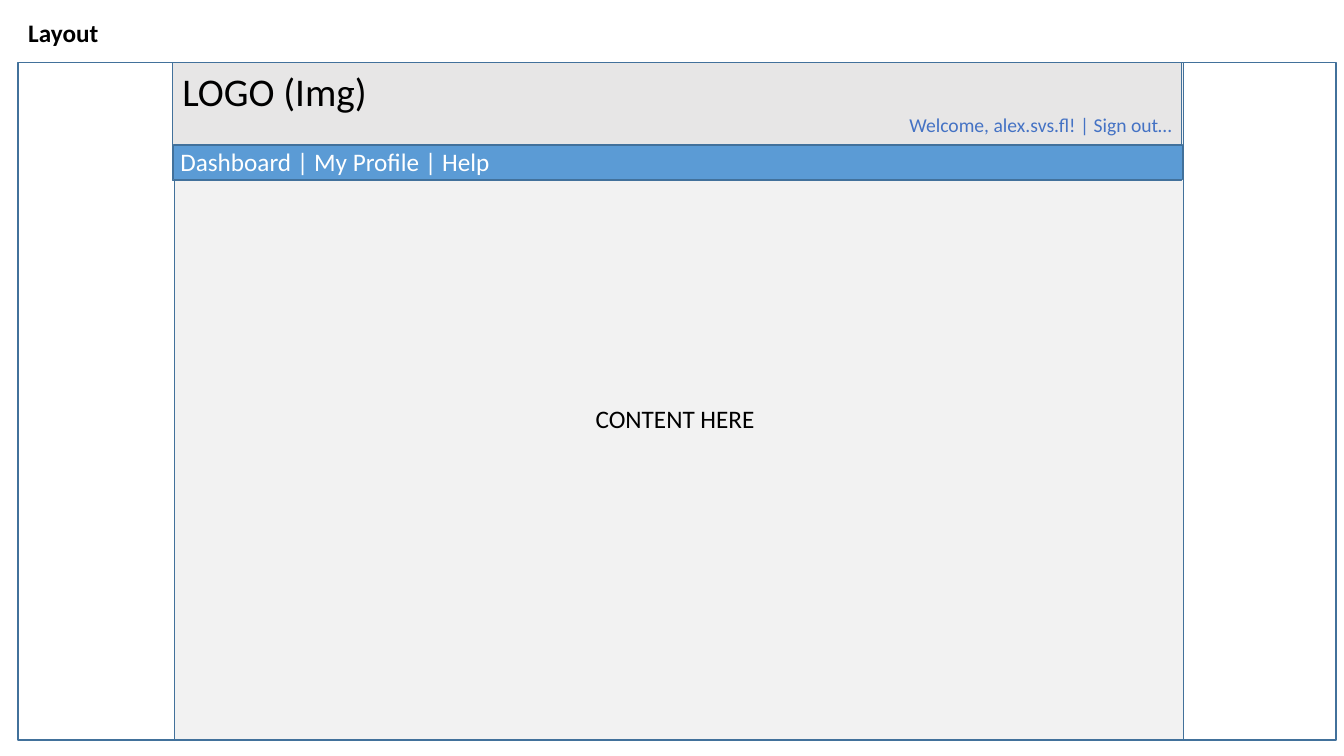
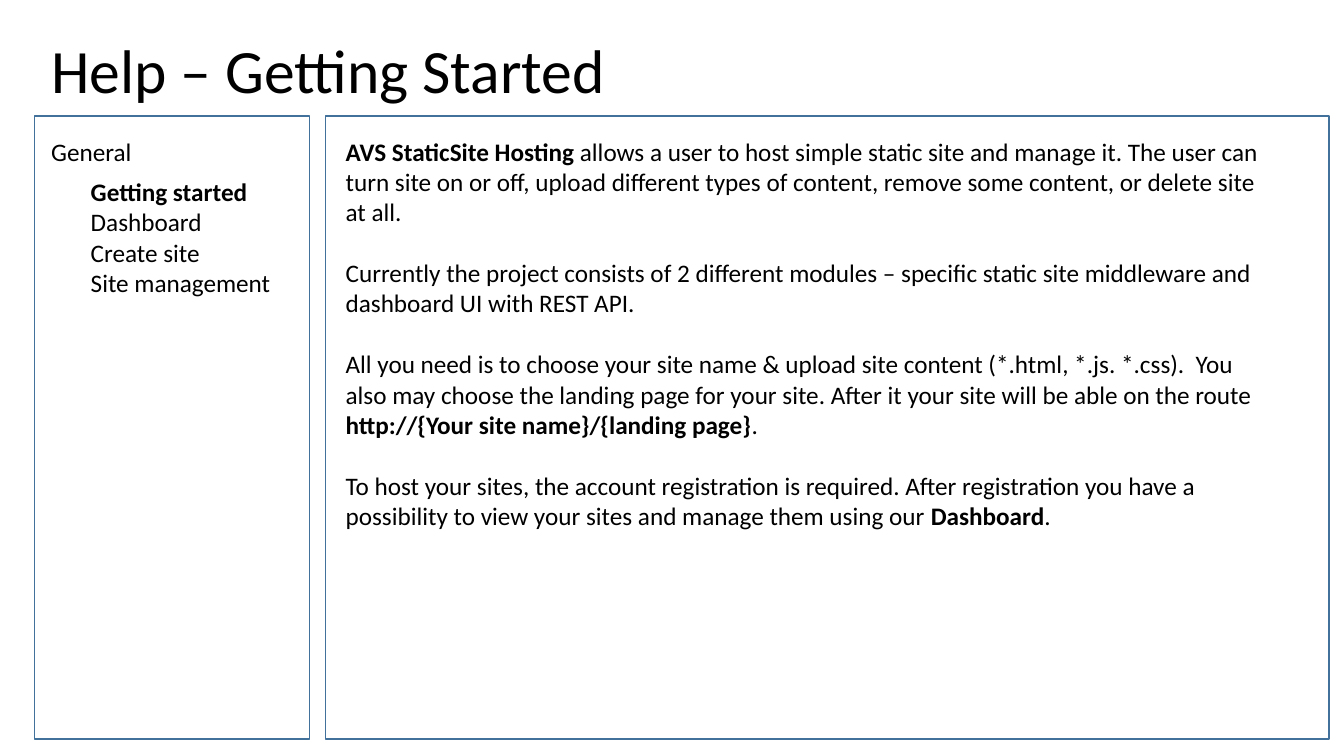
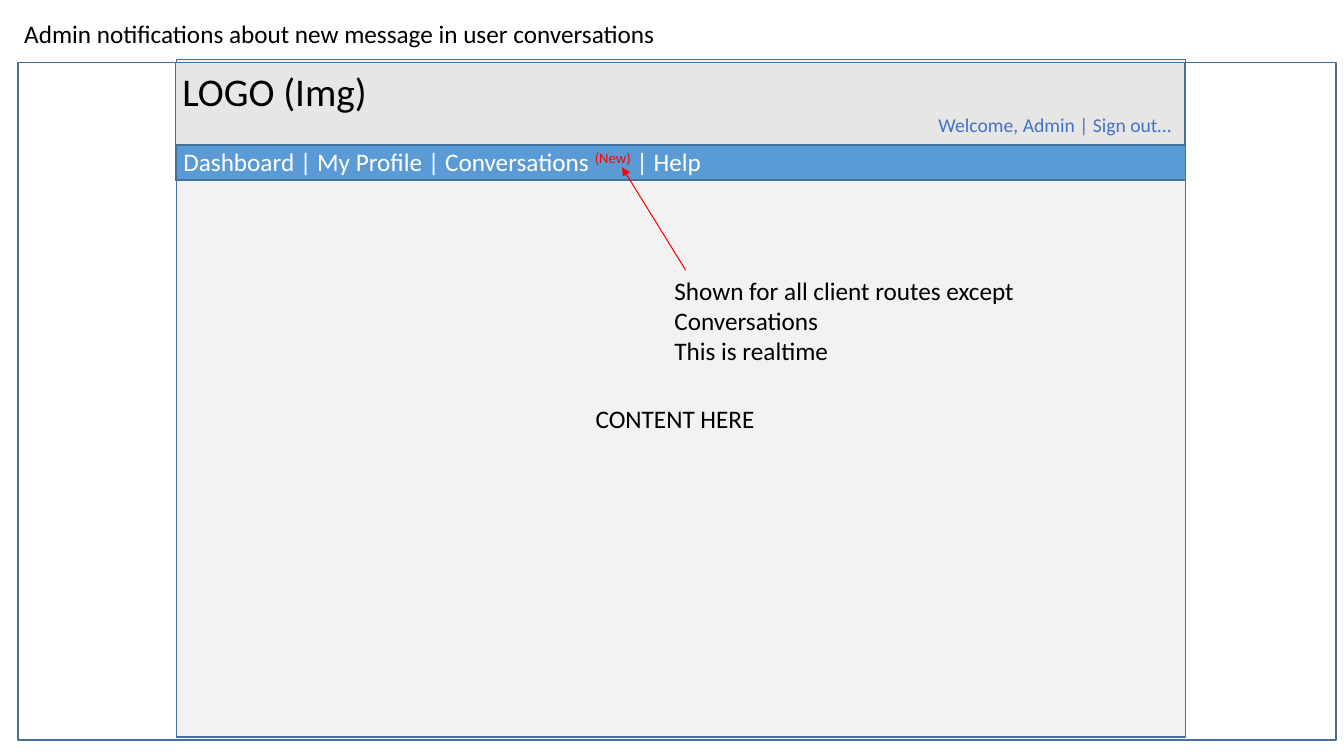
import dataclasses

import pptx
import pptx.dml.color
import pptx.enum.shapes
import pptx.enum.text
import pptx.oxml
import pptx.oxml.ns
import pptx.util
from lxml import etree

Inches = pptx.util.Inches
Pt = pptx.util.Pt
Align = pptx.enum.text.PP_ALIGN
Anchor = pptx.enum.text.MSO_ANCHOR


@dataclasses.dataclass(frozen=True)
class Theme:
    font: str = "Calibri"
    black: str = "000000"
    white: str = "FFFFFF"
    outline: str = "42719B"
    page: str = "F2F2F2"
    header: str = "E7E6E6"
    menu: str = "5B9BD5"
    link: str = "4472C4"
    alert: str = "FF0000"
    title_size: int = 44
    logo_size: int = 28
    body_size: int = 18
    link_size: int = 14
    line_gap: int = 22


def rgb(value):
    return pptx.dml.color.RGBColor.from_string(value)


class Wireframe:
    """Holds the theme, the deck and the current slide."""

    def __init__(self, theme):
        self.theme = theme
        self.deck = pptx.Presentation()
        self.deck.slide_width = Inches(13.33)
        self.deck.slide_height = Inches(7.5)
        self.slide = None

    def new_slide(self, layout="Title Only"):
        self.slide = self.deck.slides.add_slide(
            self.deck.slide_layouts.get_by_name(layout))

    def place(self, box, at):
        for name, value in zip(("left", "top", "width", "height"), at):
            setattr(box, name, Inches(value))

    def set_text(self, box, paras, size=None, color=None, bold=False,
                 align=Align.LEFT, anchor=Anchor.TOP, spacing=1.0, gaps=None):
        """Each para is a string or a list of (text, format values) spans."""
        frame = box.text_frame
        settings = {"word_wrap": True, "vertical_anchor": anchor,
                    "auto_size": pptx.enum.text.MSO_AUTO_SIZE.NONE,
                    "margin_left": Inches(0.1), "margin_right": Inches(0.1),
                    "margin_top": Inches(0.05), "margin_bottom": Inches(0.05)}
        for name, value in settings.items():
            setattr(frame, name, value)
        for index, content in enumerate(paras):
            para = frame.paragraphs[0] if index == 0 else frame.add_paragraph()
            layout = {"alignment": align, "line_spacing": spacing,
                      "space_before": Pt(gaps[index] if gaps else 0)}
            for name, value in layout.items():
                setattr(para, name, value)
            if box.is_placeholder:
                self.remove_bullet(para)
            spans = [(content, {})] if isinstance(content, str) else content
            for text, changes in spans:
                self.add_span(para, text, {
                    "size": size or self.theme.body_size,
                    "color": color or self.theme.black,
                    "bold": bold, **changes})

    def remove_bullet(self, para):
        properties = para._p.get_or_add_pPr()
        properties.set("marL", "0")
        properties.set("indent", "0")
        etree.SubElement(properties, pptx.oxml.ns.qn("a:buNone"))

    def add_span(self, para, text, style):
        span = para.add_run()
        span.text = text
        values = {"name": self.theme.font, "size": Pt(style["size"]),
                  "bold": style["bold"]}
        for name, value in values.items():
            setattr(span.font, name, value)
        span.font.color.rgb = rgb(style["color"])
        if "raised" in style:
            span._r.get_or_add_rPr().set("baseline", str(style["raised"] * 1000))

    def title(self, text, at, **style):
        box = self.slide.shapes.title
        self.place(box, at)
        self.set_text(box, [text], **style)

    def body(self, paras, at, **style):
        box = self.slide.placeholders[1]
        self.place(box, at)
        self.set_text(box, paras, **style)

    def text(self, paras, at, **style):
        box = self.slide.shapes.add_textbox(*map(Inches, at))
        self.set_text(box, paras, **style)

    def panel(self, at, fill=None):
        box = self.slide.shapes.add_shape(
            pptx.enum.shapes.MSO_SHAPE.RECTANGLE, *map(Inches, at))
        box.shadow.inherit = False
        if fill:
            box.fill.solid()
            box.fill.fore_color.rgb = rgb(fill)
        else:
            box.fill.background()
        box.line.color.rgb = rgb(self.theme.outline)
        box.line.width = Pt(1)

    def arrow(self, start, end):
        arrow = self.slide.shapes.add_connector(
            pptx.enum.shapes.MSO_CONNECTOR.STRAIGHT, *map(Inches, start + end))
        arrow.line.color.rgb = rgb(self.theme.alert)
        arrow.line.width = Pt(0.75)
        qn = pptx.oxml.ns.qn
        properties = arrow._element.spPr
        etree.SubElement(properties.find(qn("a:ln")), qn("a:tailEnd"), type="triangle")
        etree.SubElement(properties, qn("a:effectLst"))

    def site_page(self, page_at, header_left, menu_left, menu, welcome, welcome_at):
        """Browser window with header, menu bar and content area."""
        theme = self.theme
        width = 10.01
        self.panel((0.18, 0.62, 13.07, 6.72))
        self.panel((*page_at, width, 6.72), theme.page)
        self.panel((header_left, 0.62, width, 1.17), theme.header)
        self.text(["LOGO (Img)"], (1.71, 0.62, 3.05, 0.57), size=theme.logo_size)
        self.panel((menu_left, 1.44, width, 0.34), theme.menu)
        self.text([menu], (menu_left - 0.03, 1.4, 7.19, 0.4), color=theme.white)
        self.text([welcome], welcome_at, size=theme.link_size, color=theme.link)
        self.text(["CONTENT HERE"], (1.69, 3.95, width, 0.4), align=Align.CENTER)


def main():
    theme = Theme()
    frame = Wireframe(theme)
    strong = {"bold": True}

    # Site layout
    frame.new_slide()
    frame.title("Layout", (0.18, 0.12, 5.72, 0.4), bold=True)
    frame.site_page((1.73, 0.62), 1.71, 1.72, "Dashboard | My Profile | Help",
                    "Welcome, alex.svs.fl! | Sign out…", (8.92, 1.07, 4.07, 0.34))

    # Help page: topic list and article
    frame.new_slide("Title and Content")
    frame.title("Help – Getting Started", (0.41, 0, 11.5, 1.45),
                size=theme.title_size, anchor=Anchor.MIDDLE, spacing=0.9)
    frame.panel((0.34, 1.15, 2.73, 6.18))
    frame.text(["General"], (0.41, 1.3, 2.53, 0.4))
    frame.body([[("Getting started", strong)], "Dashboard", "Create site",
                "Site management"], (0.8, 1.7, 2.22, 1.31))
    frame.panel((3.23, 1.15, 9.95, 6.18))
    article = [
        [("AVS StaticSite Hosting", strong),
         (" allows a user to host simple static site and manage it. The user can "
          "turn site on or off, upload different types of content, remove some "
          "content, or delete site at all.", {})],
        "Currently the project consists of 2 different modules – specific static "
        "site middleware and dashboard UI with REST API.",
        "All you need is to choose your site name & upload site content (*.html, "
        "*.js. *.css).  You also may choose the landing page for your site. After "
        "it your site will be able on the route",
        [("http://{Your site name}/{landing page}", strong), (".", {})],
        [("To host your sites, the account registration is required. After "
          "registration you have a possibility to view your sites and manage them "
          "using our ", {}), ("Dashboard", strong), (".", {})],
    ]
    gap = theme.line_gap
    frame.text(article, (3.33, 1.3, 9.4, 4.04), gaps=[0, gap, gap, 0, gap])

    # Admin notifications
    frame.new_slide()
    frame.title("Admin notifications about new message in user conversations",
                (0.14, 0.13, 6.53, 0.4))
    menu = [("Dashboard | My Profile | Conversations ", {}),
            ("(New)", {"color": theme.alert, "raised": 30}), (" | Help", {})]
    frame.site_page((1.75, 0.59), 1.74, 1.75, menu,
                    "Welcome, Admin | Sign out…", (9.21, 1.07, 2.6, 0.34))
    frame.arrow((6.8, 2.68), (6.17, 1.66))
    frame.text(["Shown for all client routes except Conversations",
                "This is realtime"], (6.59, 2.68, 4.29, 1.01))

    frame.deck.save("out.pptx")


if __name__ == "__main__":
    main()
